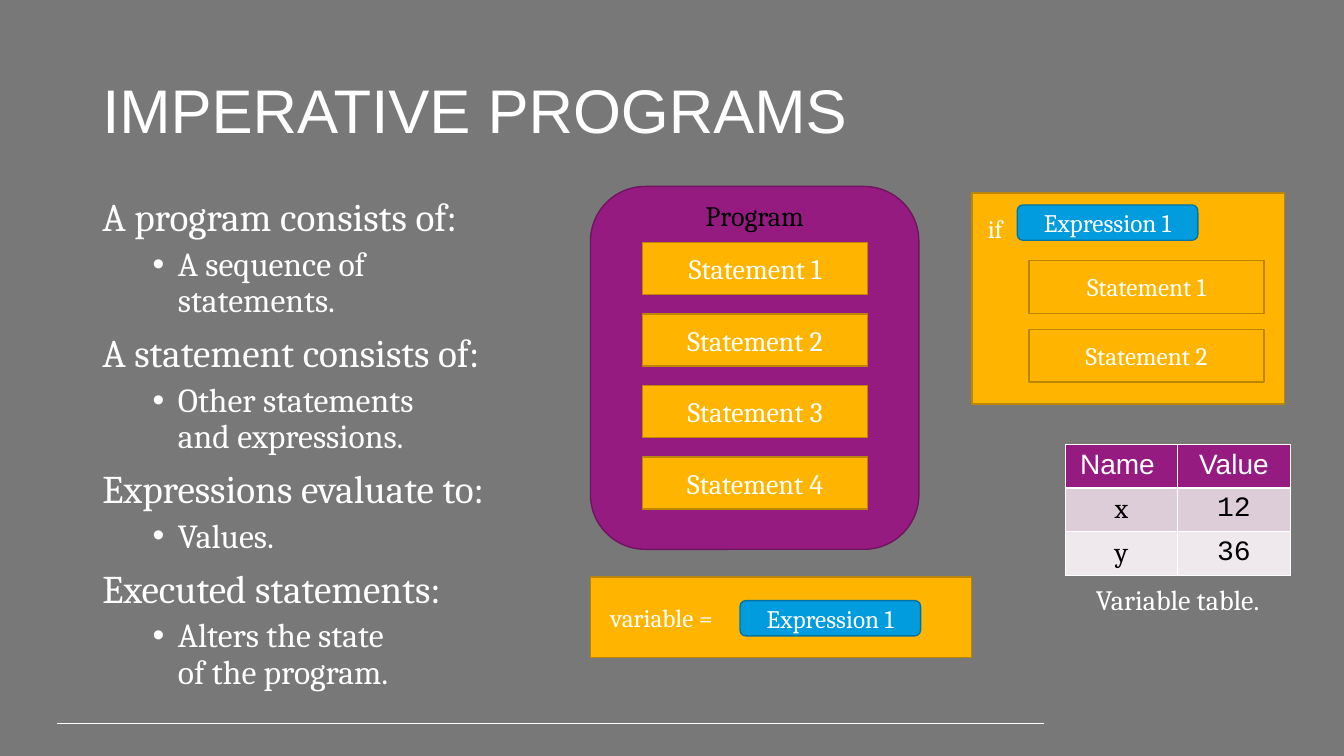
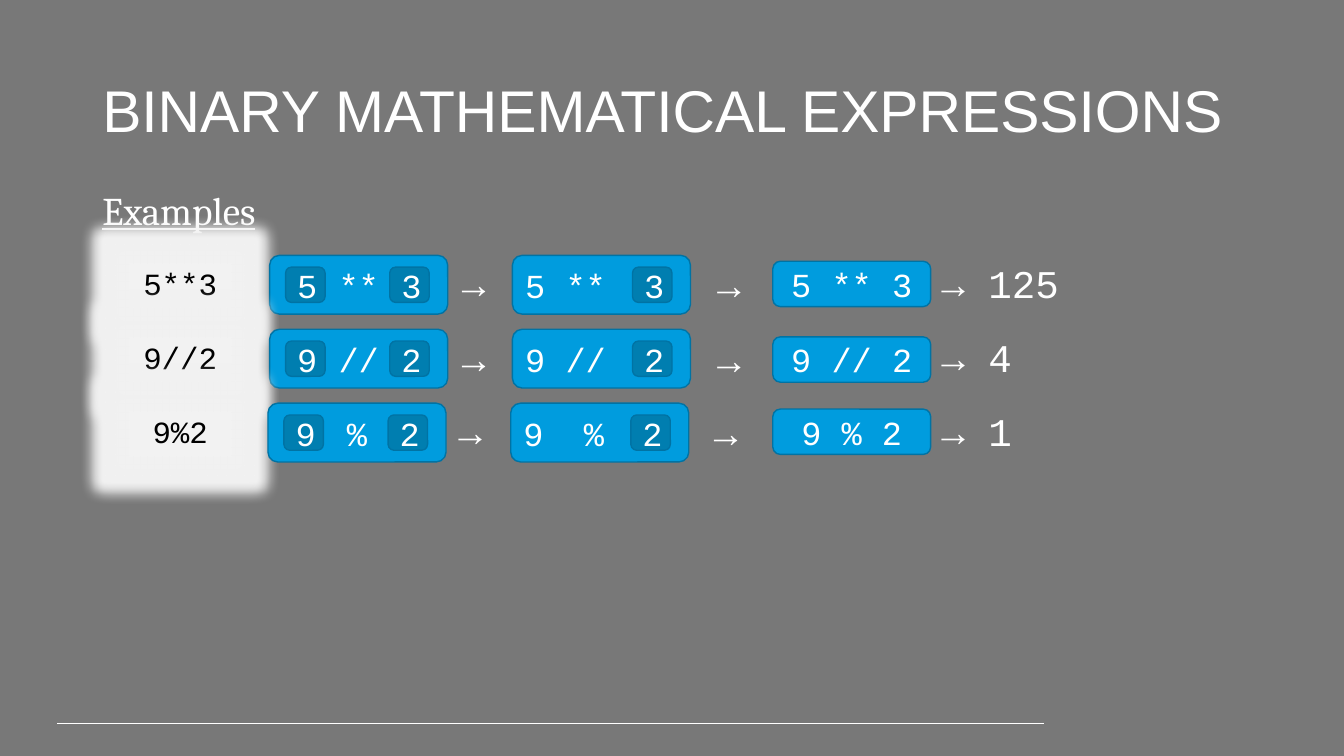
from dataclasses import dataclass
from lxml.etree import SubElement
from pptx import Presentation
from pptx.dml.color import RGBColor
from pptx.enum.shapes import MSO_CONNECTOR, MSO_SHAPE
from pptx.enum.text import MSO_ANCHOR, PP_ALIGN
from pptx.oxml.ns import qn
from pptx.util import Inches, Pt

COLUMNS, ROWS = 160, 90
CELL = Inches(1) / 12

GRAY, WHITE, BLACK = "787878", "FFFFFF", "000000"
PURPLE, PURPLE_EDGE = "961B81", "6F145F"
GOLD, GOLD_EDGE = "FFB500", "BD8600"
BLUE, BLUE_EDGE, DEEP_BLUE = "009CDE", "0073A4", "007EB0"
PALE = "F2F2F2"
TABLE_FILLS = [PURPLE, "DDCDD8", "EFE8ED"]
SANS, SERIF, MONO = "Arial", "Cambria", "Courier New"
RECTANGLE, ROUNDED = MSO_SHAPE.RECTANGLE, MSO_SHAPE.ROUNDED_RECTANGLE
LEFT, CENTER = PP_ALIGN.LEFT, PP_ALIGN.CENTER

OUTLINE = [
    ("A program consists of:", ["A sequence of", "statements."]),
    ("A statement consists of:", ["Other statements", "and expressions."]),
    ("Expressions evaluate to:", ["Values."]),
    ("Executed statements:", ["Alters the state", "of the program."]),
]
VARIABLES = [("Name ", "Value"), ("x", "12"), ("y", "36")]


@dataclass
class Box:
    left: float
    top: float
    width: float
    height: float

    def inner(self, left, top, width, height):
        return Box(self.left + left, self.top + top, width, height)

    def lengths(self):
        return [round(value * CELL) for value in (self.left, self.top, self.width, self.height)]


@dataclass
class Example:
    first: str
    operator: str
    second: str
    result: str
    gap: str = " "
    drop: float = 0
    shift: float = 0


EXAMPLES = [
    Example("5", "**", "3", "125"),
    Example("9", "//", "2", "4", drop=0.2),
    Example("9", "%", "2", "1", gap="\t", shift=-0.2),
]


def color(value):
    return RGBColor.from_string(value)


def add_run(paragraph, text, size, font=SERIF, ink=WHITE, underline=None):
    run = paragraph.add_run()
    run.text = text
    run.font.size = Pt(size)
    run.font.name = font
    run.font.color.rgb = color(ink)
    run.font.underline = underline


def indent(paragraph, margin, hanging=0):
    properties = paragraph._p.get_or_add_pPr()
    properties.set("marL", str(Inches(margin)))
    properties.set("indent", str(-Inches(hanging)))


def add_bullet(paragraph):
    properties = paragraph._p.get_or_add_pPr()
    SubElement(properties, qn("a:buFont"), typeface=SANS)
    SubElement(properties, qn("a:buChar"), char="•")


def add_tab(paragraph, position):
    tabs = SubElement(paragraph._p.get_or_add_pPr(), qn("a:tabLst"))
    SubElement(tabs, qn("a:tab"), pos=str(Inches(position)), algn="l")


def write(shape, text, size, align=LEFT, anchor=MSO_ANCHOR.MIDDLE, spacing=None, **style):
    frame = shape.text_frame
    frame.word_wrap = True
    frame.vertical_anchor = anchor
    paragraph = frame.paragraphs[0]
    paragraph.alignment = align
    paragraph.line_spacing = spacing
    add_run(paragraph, text, size, **style)
    return paragraph


def add_text(slide, box, text, size, align=LEFT, anchor=MSO_ANCHOR.TOP, **style):
    shape = slide.shapes.add_textbox(*box.lengths())
    write(shape, text, size, align, anchor, **style)


def add_block(slide, box, kind, fill, edge=None):
    shape = slide.shapes.add_shape(kind, *box.lengths())
    shape.shadow.inherit = False
    shape.fill.solid()
    shape.fill.fore_color.rgb = color(fill)
    if edge:
        shape.line.color.rgb = color(edge)
        shape.line.width = Pt(1)
    else:
        shape.line.fill.background()
    return shape


def add_glow(shape, points, tint):
    effects = shape._element.spPr.find(qn("a:effectLst"))
    glow = SubElement(effects, qn("a:glow"), rad=str(Pt(points)))
    SubElement(glow, qn("a:srgbClr"), val=tint)


def add_frame(presentation, title, size):
    slide = presentation.slides.add_slide(presentation.slide_layouts[6])
    slide.background.fill.solid()
    slide.background.fill.fore_color.rgb = color(GRAY)
    left, top, width, _ = Box(6.8, 86.1, 117.5, 0).lengths()
    rule = slide.shapes.add_connector(MSO_CONNECTOR.STRAIGHT, left, top, left + width, top)
    rule.line.color.rgb = color(WHITE)
    rule.line.width = Pt(0.75)
    SubElement(rule._element.spPr, qn("a:effectLst"))
    add_text(slide, Box(11, 4.8, 138, 17.4), title, size,
             anchor=MSO_ANCHOR.MIDDLE, spacing=0.9, font=SANS)
    return slide


def add_outline(slide, box):
    frame = slide.shapes.add_textbox(*box.lengths()).text_frame
    frame.word_wrap = True
    for index, (heading, lines) in enumerate(OUTLINE):
        paragraph = frame.add_paragraph() if index else frame.paragraphs[0]
        paragraph.line_spacing = 0.9
        if index:
            paragraph.space_before = Pt(10)
        add_run(paragraph, heading, 28)
        detail = frame.add_paragraph()
        detail.line_spacing = 0.9
        detail.space_before = Pt(5)
        indent(detail, 0.75, 0.25)
        add_bullet(detail)
        for number, line in enumerate(lines):
            if number:
                detail.add_line_break()
            add_run(detail, line, 24)


def add_statements(slide, box, count, pitch, size):
    for index in range(count):
        block = add_block(slide, box.inner(0, index * pitch, box.width, box.height),
                          RECTANGLE, GOLD, GOLD_EDGE)
        write(block, f"Statement {index + 1}", size, CENTER)


def add_expression(slide, box):
    block = add_block(slide, box, ROUNDED, BLUE, BLUE_EDGE)
    write(block, "Expression 1", 18, CENTER)


def add_program(slide, box):
    add_block(slide, box, ROUNDED, PURPLE, PURPLE_EDGE)
    add_statements(slide, box.inner(6.2, 6.7, 26.8, 6.2), 4, 8.5, 20)
    add_text(slide, box.inner(0, 0.8, box.width, 5.3), "Program", 20, CENTER, ink=BLACK)


def add_assignment(slide, box):
    block = add_block(slide, box, RECTANGLE, GOLD, GOLD_EDGE)
    indent(write(block, "variable =", 18), 0.1)
    add_expression(slide, box.inner(17.8, 2.8, 21.5, 4.2))


def add_condition(slide, box):
    block = add_block(slide, box, RECTANGLE, GOLD, GOLD_EDGE)
    indent(write(block, "if", 18, anchor=MSO_ANCHOR.TOP, spacing=1.5), 0.06)
    add_expression(slide, box.inner(5.4, 1.4, 21.5, 4.2))
    add_statements(slide, box.inner(6.8, 8, 28, 6.3), 2, 8.2, 18)


def add_borders(cell):
    properties = cell._tc.get_or_add_tcPr()
    for index, side in enumerate(("a:lnL", "a:lnR", "a:lnT", "a:lnB")):
        line = properties.makeelement(qn(side), {"w": str(Pt(1))})
        SubElement(SubElement(line, qn("a:solidFill")), qn("a:srgbClr"), val=WHITE)
        properties.insert(index, line)


def add_variables(slide, box):
    count = len(VARIABLES)
    table = slide.shapes.add_table(count, 2, *box.lengths()).table
    for row, values in enumerate(VARIABLES):
        for column, value in enumerate(values):
            cell = table.cell(row, column)
            cell.fill.solid()
            cell.fill.fore_color.rgb = color(TABLE_FILLS[row])
            add_borders(cell)
            paragraph = cell.text_frame.paragraphs[0]
            paragraph.alignment = CENTER
            font = (SERIF, MONO)[column] if row else SANS
            add_run(paragraph, value, 20, font, BLACK if row else WHITE)
    add_text(slide, box.inner(0, box.height + 0.2, box.width, 5.3),
             "Variable table.", 20, CENTER)


def add_step(slide, box, text, align, operands):
    block = add_block(slide, box, ROUNDED, BLUE, BLUE_EDGE)
    paragraph = write(block, "", 24, align, font=MONO)
    add_tab(paragraph, 0.6)
    paragraph.runs[0].text = text
    for left, value in operands:
        operand = add_block(slide, box.inner(left, 1.4, 4.7, 4.2), ROUNDED, DEEP_BLUE, BLUE_EDGE)
        operand.text_frame.margin_right = 0
        write(operand, value, 24, font=MONO)


def add_arrow(slide, box, text="→"):
    add_text(slide, box, text, 28, spacing=0.9, font=MONO)


def add_example(slide, box, example):
    code = add_block(slide, box.inner(0, 1, 12.1, 5.3), RECTANGLE, PALE)
    add_glow(code, 18, PALE)
    write(code, example.first + example.operator + example.second, 22, CENTER,
          MSO_ANCHOR.TOP, 0.9, font=MONO, ink=BLACK)
    shift, drop = example.shift, example.drop
    second = (14.3, example.second)
    add_step(slide, box.inner(16.7 + shift, 0, 21.2, 7), example.operator, CENTER,
             [(1.9, example.first), second])
    add_arrow(slide, box.inner(38.4 + 2 * shift, 0.5 + drop, 7.1, 6.5))
    add_step(slide, box.inner(45.6 + shift, 0, 21.2, 7),
             example.first + example.gap + example.operator, LEFT, [second])
    add_arrow(slide, box.inner(68.8 + 2 * shift, 0.6 + drop, 7.1, 6.5))
    add_step(slide, box.inner(76.6, 0.7 + drop, 18.8, 5.4),
             f"{example.first} {example.operator} {example.second}", CENTER, [])
    add_arrow(slide, box.inner(95.5, 0.5, 24, 6.5), f"→ {example.result}")


def add_programs_slide(presentation):
    slide = add_frame(presentation, "IMPERATIVE PROGRAMS", 44)
    add_program(slide, Box(70.3, 22.2, 39.1, 43.2))
    add_outline(slide, Box(11, 23, 59.4, 60.5))
    add_assignment(slide, Box(70.3, 68.7, 45.4, 9.6))
    add_condition(slide, Box(115.7, 23, 37.2, 25.1))
    add_variables(slide, Box(126.8, 52.9, 26.8, 15.6))


def add_expressions_slide(presentation):
    slide = add_frame(presentation, "BINARY MATHEMATICAL EXPRESSIONS", 42)
    add_text(slide, Box(11, 22.2, 45.6, 6.5), "Examples", 28, spacing=0.9, underline=True)
    for index, example in enumerate(EXAMPLES):
        add_example(slide, Box(15.4, 30.4 + 8.8 * index, 119.5, 7), example)


def main():
    presentation = Presentation()
    presentation.slide_width = round(COLUMNS * CELL)
    presentation.slide_height = round(ROWS * CELL)
    add_programs_slide(presentation)
    add_expressions_slide(presentation)
    presentation.save("out.pptx")


if __name__ == "__main__":
    main()
